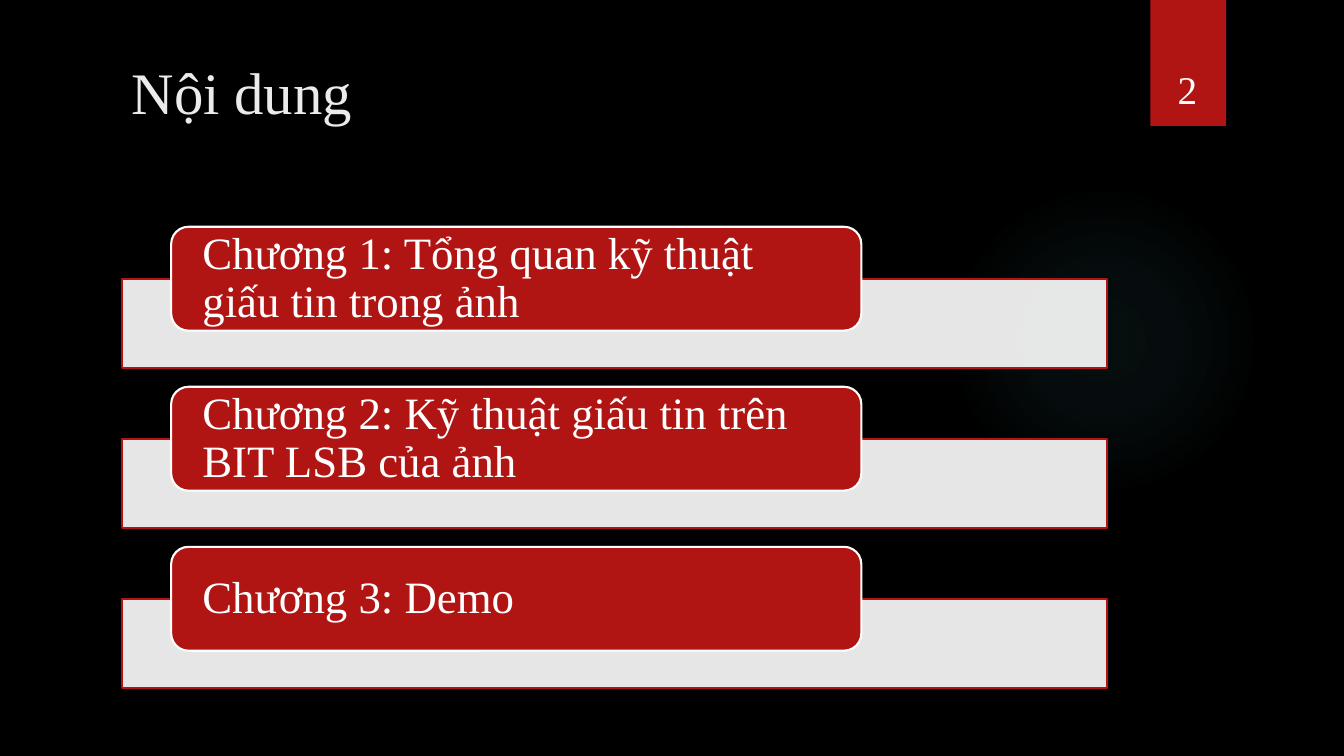
from lxml import etree
from pptx import Presentation
from pptx.dml.color import RGBColor
from pptx.enum.shapes import MSO_SHAPE as SHAPE
from pptx.enum.text import MSO_ANCHOR as ANCHOR, PP_ALIGN as ALIGN
from pptx.oxml import parse_xml
from pptx.oxml.ns import nsdecls, qn
from pptx.util import Pt

BLACK = RGBColor(0x00, 0x00, 0x00)
WHITE = RGBColor(0xFF, 0xFF, 0xFF)
RED = RGBColor(0xB0, 0x15, 0x13)
TITLE_GRAY = RGBColor(0xEB, 0xEB, 0xEB)
TEAL = RGBColor(0x50, 0xB9, 0xC1)
FONT = "Times New Roman"
GLOW_STOPS = [(0, 7), (36, 6), (69, 0), (100, 0)]
CHAPTERS = [
    "Chương 1: Tổng quan kỹ thuật giấu tin trong ảnh",
    "Chương 2: Kỹ thuật giấu tin trên BIT LSB của ảnh",
    "Chương 3: Demo",
]
CHAPTER_TOP = 162
CHAPTER_PITCH = 114.3


def add_box(s, kind, x, y, w, h, fill, line=None):
    sp = s.shapes.add_shape(kind, Pt(x), Pt(y), Pt(w), Pt(h))
    sp.shadow.inherit = False
    sp.fill.solid()
    sp.fill.fore_color.rgb = fill
    if line is None:
        sp.line.fill.background()
    else:
        sp.line.color.rgb = line
        sp.line.width = Pt(1.5)
    return sp


def set_alpha(sp, percent):
    color = sp.fill._xPr.find(qn("a:solidFill"))[0]
    etree.SubElement(color, qn("a:alpha"), val=str(percent * 1000))


def add_glow(s, x, y, size):
    sp = add_box(s, SHAPE.OVAL, x, y, size, size, TEAL)
    stops = "".join(
        f'<a:gs pos="{pos * 1000}"><a:srgbClr val="{TEAL}">'
        f'<a:alpha val="{alpha * 1000}"/></a:srgbClr></a:gs>'
        for pos, alpha in GLOW_STOPS
    )
    grad = parse_xml(
        f'<a:gradFill {nsdecls("a")}><a:gsLst>{stops}</a:gsLst>'
        '<a:path path="circle">'
        '<a:fillToRect l="50000" t="50000" r="50000" b="50000"/>'
        "</a:path></a:gradFill>"
    )
    solid = sp.fill._xPr.find(qn("a:solidFill"))
    solid.getparent().replace(solid, grad)


def write(sp, text, size, color, anchor, align=ALIGN.LEFT):
    tf = sp.text_frame
    tf.word_wrap = True
    tf.vertical_anchor = anchor
    p = tf.paragraphs[0]
    p.alignment = align
    r = p.add_run()
    r.text = text
    r.font.name = FONT
    r.font.size = Pt(size)
    r.font.color.rgb = color
    return tf


def add_label(s, x, y, w, h, text, size, color, anchor, align=ALIGN.LEFT):
    sp = s.shapes.add_textbox(Pt(x), Pt(y), Pt(w), Pt(h))
    write(sp, text, size, color, anchor, align)


def add_chapter(s, top, text):
    bar = add_box(s, SHAPE.RECTANGLE, 87, top + 37.4, 704, 63.2, WHITE, RED)
    set_alpha(bar, 90)
    pill = add_box(s, SHAPE.ROUNDED_RECTANGLE, 122.3, top, 493, 74.2, RED, WHITE)
    tf = write(pill, text, 32, WHITE, ANCHOR.MIDDLE)
    tf.margin_left = tf.margin_right = Pt(18.7)
    tf.margin_top = tf.margin_bottom = 0
    tf.paragraphs[0].line_spacing = 0.9


def main():
    prs = Presentation()
    prs.slide_width, prs.slide_height = Pt(960), Pt(540)
    s = prs.slides.add_slide(prs.slide_layouts[6])
    s.background.fill.solid()
    s.background.fill.fore_color.rgb = BLACK

    add_glow(s, 677.5, 131.8, 221.8)
    add_box(s, SHAPE.RECTANGLE, 821.8, 0, 54, 90, RED)
    add_label(s, 87, 36, 705, 110, "Nội dung", 42, TITLE_GRAY, ANCHOR.TOP)
    for i, text in enumerate(CHAPTERS):
        add_chapter(s, CHAPTER_TOP + i * CHAPTER_PITCH, text)
    add_label(s, 815, 23, 66.2, 60.5, "2", 28, WHITE, ANCHOR.BOTTOM, ALIGN.CENTER)

    prs.save("out.pptx")


if __name__ == "__main__":
    main()
